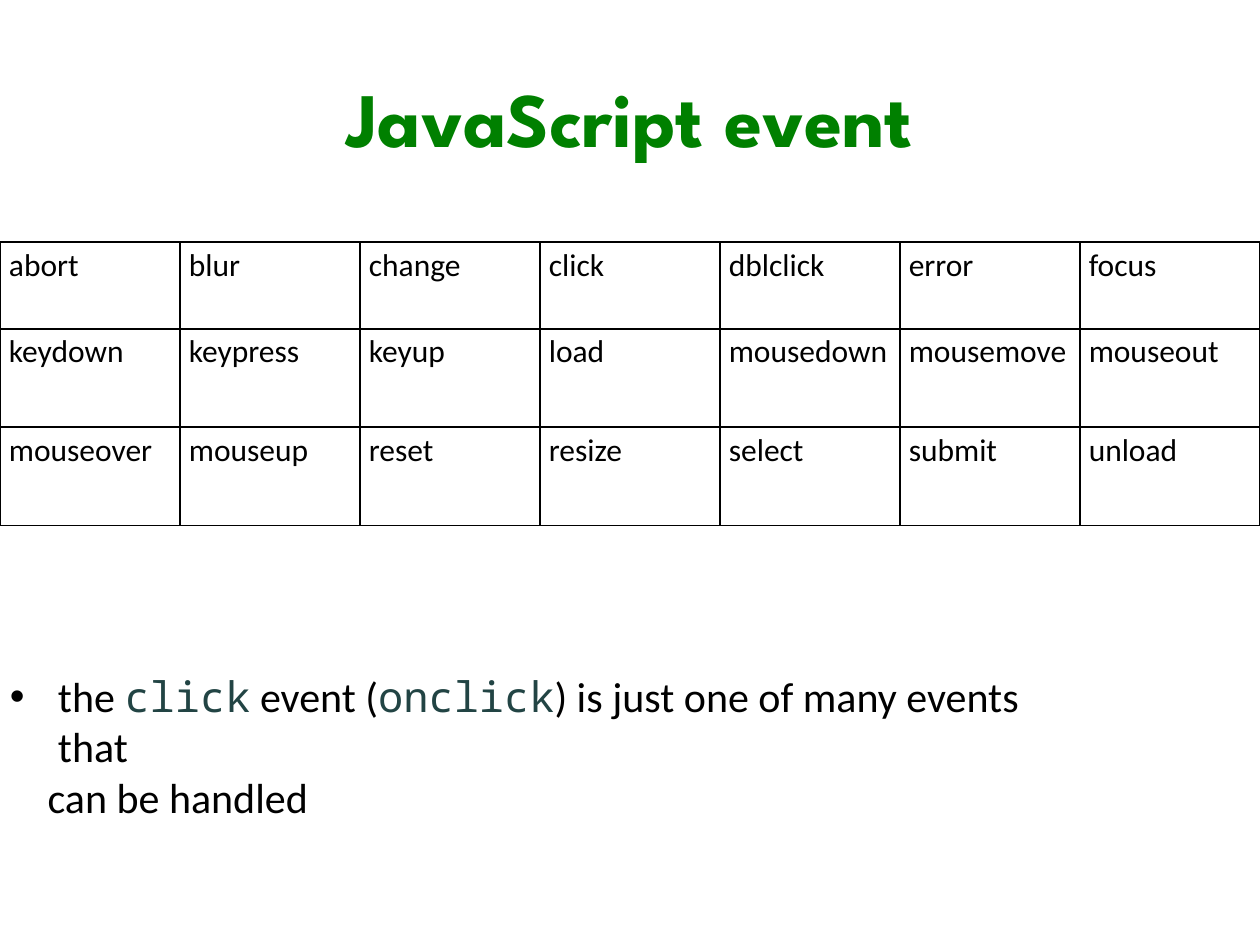
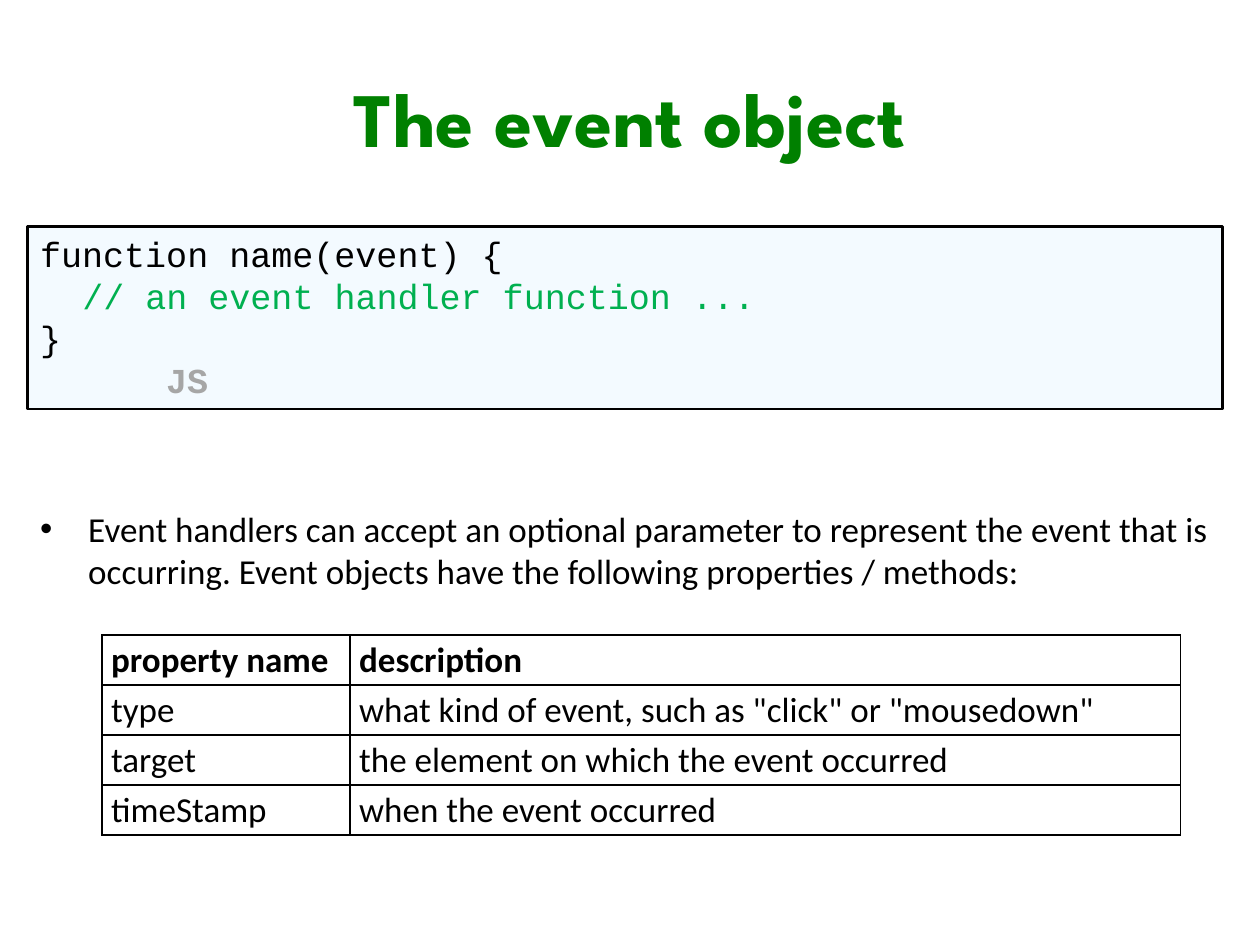
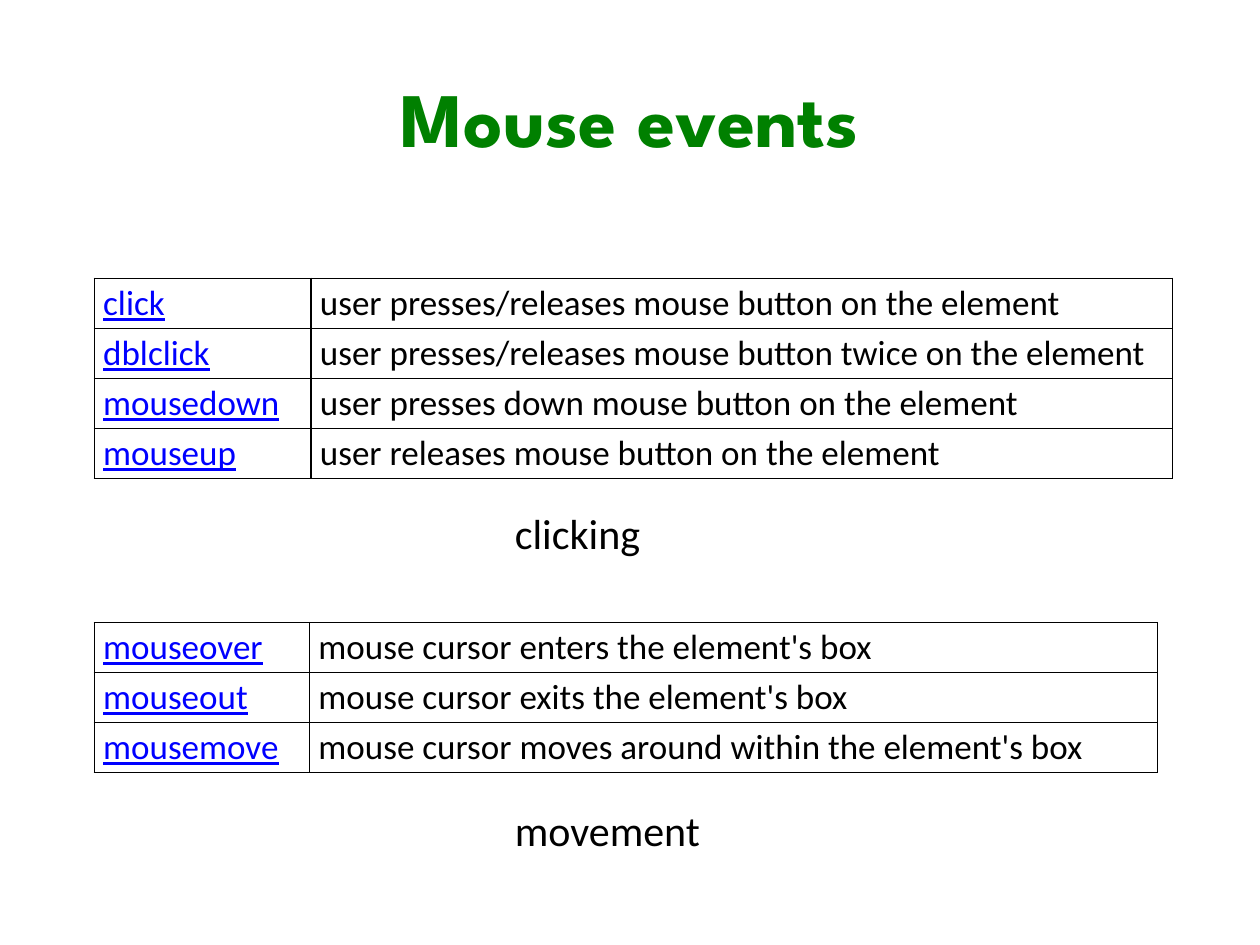
from lxml.etree import SubElement
from pptx import Presentation
from pptx.dml.color import RGBColor
from pptx.enum.shapes import MSO_SHAPE as Shape
from pptx.enum.text import MSO_ANCHOR as Anchor, PP_ALIGN as Align
from pptx.oxml.ns import qn
from pptx.util import Cm, Pt

BLACK = RGBColor(0x00, 0x00, 0x00)
WHITE = RGBColor(0xFF, 0xFF, 0xFF)
TITLE_GREEN = RGBColor(0x00, 0x80, 0x00)
COMMENT_GREEN = RGBColor(0x00, 0xB0, 0x50)
KEYWORD_TEAL = RGBColor(0x22, 0x44, 0x44)
LINK_BLUE = RGBColor(0x00, 0x00, 0xFF)
CODE_FILL = RGBColor(0xF3, 0xFA, 0xFF)
LABEL_GRAY = RGBColor(0xA6, 0xA6, 0xA6)

TITLE = {"name": "League Spartan", "size": Pt(44), "bold": True, "color": TITLE_GREEN}
BODY = {"name": "Calibri", "size": Pt(20), "color": BLACK}
LARGE = {**BODY, "size": Pt(24)}
EVENT = {**BODY, "size": Pt(18)}
HEADER = {**BODY, "bold": True}
LINK = {**BODY, "color": LINK_BLUE, "underline": True}
KEYWORD = {**LARGE, "name": "Noto Sans Mono", "color": KEYWORD_TEAL}
CODE = {**BODY, "name": "Courier New"}
COMMENT = {**CODE, "color": COMMENT_GREEN}
LANGUAGE = {**CODE, "color": LABEL_GRAY, "bold": True}

CELL_MARGINS = {
    "margin_left": Cm(0.18), "margin_right": Cm(0.18),
    "margin_top": Cm(0.08), "margin_bottom": Cm(0.08),
}
NOTE_FRAME = {
    "vertical_anchor": Anchor.MIDDLE, "margin_left": Cm(0.2),
    "margin_right": 0, "margin_top": 0, "margin_bottom": Cm(0.33),
}
BULLET_INDENT = Cm(0.97)

EVENT_ROWS = [
    ["abort", "blur", "change", "click", "dblclick", "error", "focus"],
    ["keydown", "keypress", "keyup", "load", "mousedown", "mousemove", "mouseout"],
    ["mouseover", "mouseup", "reset", "resize", "select", "submit", "unload"],
]
PROPERTY_ROWS = [
    ["property name", "description"],
    ["type", 'what kind of event, such as "click" or "mousedown"'],
    ["target", "the element on which the event occurred"],
    ["timeStamp", "when the event occurred"],
]
CLICKING_ROWS = [
    ["click", "user presses/releases mouse button on the element"],
    ["dblclick", "user presses/releases mouse button twice on the element"],
    ["mousedown", "user presses down mouse button on the element"],
    ["mouseup", "user releases mouse button on the element"],
]
MOVEMENT_ROWS = [
    ["mouseover", "mouse cursor enters the element's box"],
    ["mouseout", "mouse cursor exits the element's box"],
    ["mousemove", "mouse cursor moves around within the element's box"],
]


def set_attributes(target, values):
    for name, value in values.items():
        setattr(target, name, value)


def add_run(paragraph, text, style):
    run = paragraph.add_run()
    run.text = text
    values = dict(style)
    run.font.color.rgb = values.pop("color")
    set_attributes(run.font, values)


def indent(paragraph, left, bullet=False):
    properties = paragraph._p.get_or_add_pPr()
    properties.set("marL", str(left))
    if bullet:
        properties.set("indent", str(-left))
        SubElement(properties, qn("a:buFont"), typeface="Arial")
        SubElement(properties, qn("a:buChar"), char="•")


def write_paragraphs(frame, paragraphs):
    frame.word_wrap = True
    for index, (runs, left, bullet) in enumerate(paragraphs):
        paragraph = frame.add_paragraph() if index else frame.paragraphs[0]
        paragraph.alignment = Align.LEFT
        indent(paragraph, left, bullet)
        for text, style in runs:
            add_run(paragraph, text, style)


def add_text(slide, box, paragraphs):
    frame = slide.shapes.add_textbox(*map(Cm, box)).text_frame
    write_paragraphs(frame, paragraphs)
    return frame


def add_panel(slide, box, fill, paragraphs):
    panel = slide.shapes.add_shape(Shape.RECTANGLE, *map(Cm, box))
    panel.shadow.inherit = False
    panel.fill.solid()
    panel.fill.fore_color.rgb = fill
    panel.line.fill.background()
    write_paragraphs(panel.text_frame, paragraphs)
    return panel


def add_titled_slide(presentation, title):
    slide = presentation.slides.add_slide(presentation.slide_layouts[6])
    frame = add_text(slide, (1.27, 0.76, 22.86, 3.18), [([(title, TITLE)], 0, False)])
    frame.vertical_anchor = Anchor.MIDDLE
    frame.paragraphs[0].alignment = Align.CENTER
    return slide


def add_caption(slide, text, top):
    add_text(slide, (10.13, top, 4.29, 1.27), [([(text, LARGE)], 0, False)])


def add_borders(cell):
    properties = cell._tc.get_or_add_tcPr()
    for side in ("lnL", "lnR", "lnT", "lnB"):
        line = SubElement(properties, qn(f"a:{side}"), w=str(Pt(1)))
        fill = SubElement(line, qn("a:solidFill"))
        SubElement(fill, qn("a:srgbClr"), val=str(BLACK))


def add_grid(slide, left, top, widths, heights, rows, style_at):
    table = slide.shapes.add_table(
        len(rows), len(widths), Cm(left), Cm(top), Cm(sum(widths)), Cm(sum(heights))
    ).table
    set_attributes(table, {"first_row": False, "horz_banding": False})
    for column, width in zip(table.columns, widths):
        column.width = Cm(width)
    for row, height in zip(table.rows, heights):
        row.height = Cm(height)
    for row_index, texts in enumerate(rows):
        for column_index, text in enumerate(texts):
            cell = table.cell(row_index, column_index)
            set_attributes(cell, CELL_MARGINS)
            add_borders(cell)
            cell.fill.background()
            add_run(cell.text_frame.paragraphs[0], text, style_at(row_index, column_index))


def link_first(row, column):
    return BODY if column else LINK


def build_event_list(presentation):
    slide = add_titled_slide(presentation, "JavaScript event")
    add_grid(slide, 0, 4.88, [25.4 / 7] * 7, [1.75, 1.98, 1.98], EVENT_ROWS,
             lambda row, column: EVENT)
    sentence = [
        ("the ", LARGE), ("click", KEYWORD), (" event (", LARGE),
        ("onclick", KEYWORD), (") is just one of many events that", LARGE),
    ]
    note = add_panel(slide, (0, 12.98, 21.84, 4.45), WHITE, [
        (sentence, BULLET_INDENT, True),
        ([("can be handled", LARGE)], Cm(0.76), False),
    ])
    set_attributes(note.text_frame, NOTE_FRAME)


def build_event_object(presentation):
    slide = add_titled_slide(presentation, "The event object")
    code = add_panel(slide, (0.56, 4.57, 24.08, 3.68), CODE_FILL, [
        ([("function name(event) {", CODE)], 0, False),
        ([("// an event handler function ...", COMMENT)], Cm(0.85), False),
        ([("}", CODE)], 0, False),
        ([("JS", LANGUAGE)], Cm(2.54), False),
    ])
    code.line.color.rgb = BLACK
    code.line.width = Pt(1.5)
    code.text_frame.vertical_anchor = Anchor.TOP
    explanation = (
        "Event handlers can accept an optional parameter to represent the event "
        "that is occurring. Event objects have the following properties / methods:"
    )
    add_text(slide, (0.56, 10.11, 24.08, 1.96),
             [([(explanation, BODY)], BULLET_INDENT, True)])
    add_grid(slide, 2.06, 12.8, [5, 16.74], [0.99] * 4, PROPERTY_ROWS,
             lambda row, column: BODY if row else HEADER)


def build_mouse_events(presentation):
    slide = add_titled_slide(presentation, "Mouse events")
    add_grid(slide, 1.9, 5.61, [4.37, 17.37], [1.01] * 4, CLICKING_ROWS, link_first)
    add_caption(slide, "clicking", 10.11)
    add_grid(slide, 1.9, 12.55, [4.34, 17.09], [0.99] * 3, MOVEMENT_ROWS, link_first)
    add_caption(slide, "movement", 16.1)


def main():
    presentation = Presentation()
    presentation.slide_width = Cm(25.4)
    presentation.slide_height = Cm(19.05)
    build_event_list(presentation)
    build_event_object(presentation)
    build_mouse_events(presentation)
    presentation.save("out.pptx")


if __name__ == "__main__":
    main()
